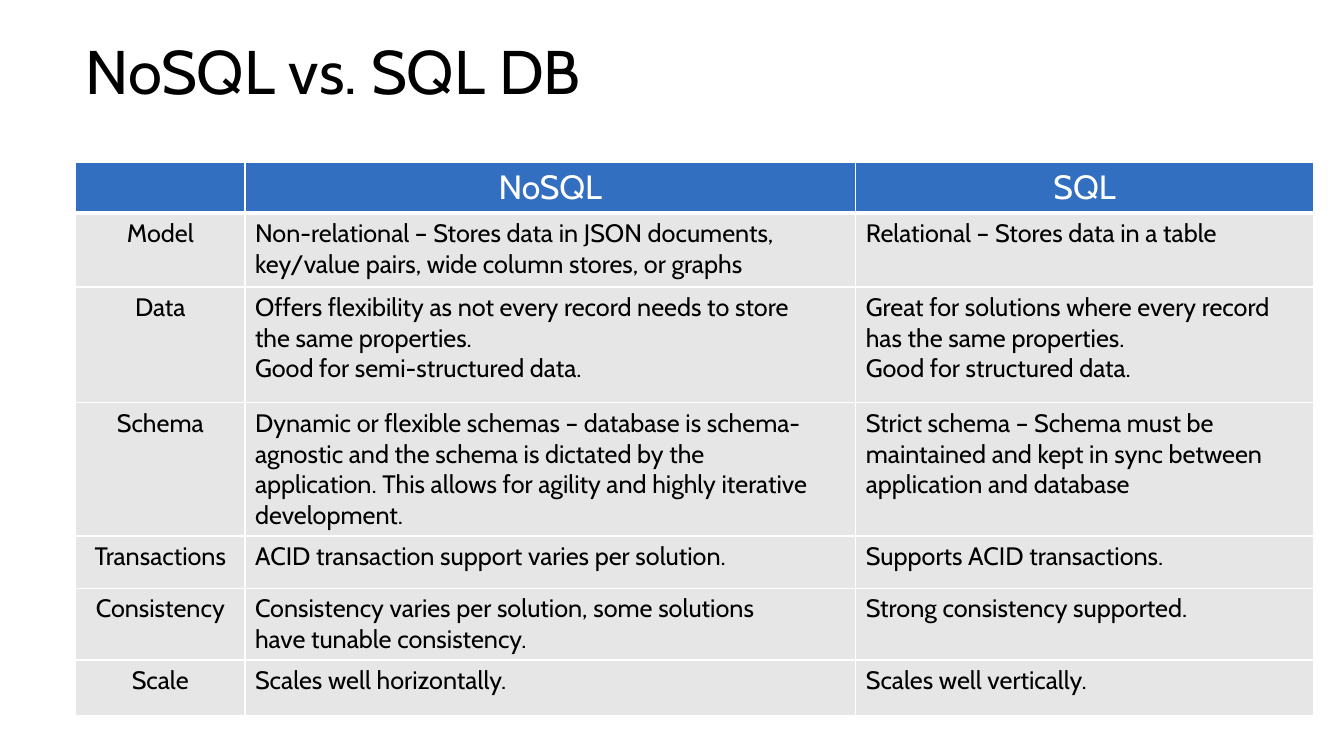
"""Build a slide that compares NoSQL and SQL databases in a table."""
from dataclasses import dataclass

from lxml import etree
from pptx import Presentation
from pptx import util as u
from pptx.dml.color import RGBColor
from pptx.enum import text
from pptx.oxml import ns


@dataclass(frozen=True)
class Theme:
    font: str = "Cabin"
    ink: str = "000000"
    white: str = "FFFFFF"
    header: str = "336FC0"
    body: str = "E7E6E6"
    title_size: int = 44
    header_size: int = 24
    body_size: int = 18


theme = Theme()


def write(frame, content, size, color=theme.ink, align=text.PP_ALIGN.LEFT, spacing=1.0):
    for number, line in enumerate(content.split("\n")):
        paragraph = frame.add_paragraph() if number else frame.paragraphs[0]
        paragraph.alignment = align
        paragraph.line_spacing = spacing
        run = paragraph.add_run()
        run.text = line
        run.font.name = theme.font
        run.font.size = u.Pt(size)
        run.font.color.rgb = RGBColor.from_string(color)


def add_border(cell, side, width):
    edge = etree.SubElement(cell._tc.get_or_add_tcPr(), ns.qn(f"a:ln{side}"), w=str(u.Pt(width)))
    fill = etree.SubElement(edge, ns.qn("a:solidFill"))
    etree.SubElement(fill, ns.qn("a:srgbClr"), val=theme.white)


comparison = [
    ("", "NoSQL", "SQL"),
    ("Model",
     "Non-relational – Stores data in JSON documents,\nkey/value pairs, wide column stores, or graphs",
     "Relational – Stores data in a table"),
    ("Data",
     "Offers flexibility as not every record needs to store\nthe same properties.\n"
     "Good for semi-structured data.",
     "Great for solutions where every record has the same properties.\nGood for structured data."),
    ("Schema",
     "Dynamic or flexible schemas – database is schema-agnostic and the schema is dictated by the\n"
     "application. This allows for agility and highly iterative development.",
     "Strict schema – Schema must be\nmaintained and kept in sync between\napplication and database"),
    ("Transactions",
     "ACID transaction support varies per solution.",
     "Supports ACID transactions."),
    ("Consistency",
     "Consistency varies per solution, some solutions\nhave tunable consistency.",
     "Strong consistency supported."),
    ("Scale", "Scales well horizontally.", "Scales well vertically."),
]
column_widths = [121, 436.3, 326.9]
row_heights = [35.3, 52.6, 82.8, 90.7, 37.4, 49, 39.6]

deck = Presentation()
deck.slide_width, deck.slide_height = u.Pt(960), u.Pt(540)
slide = deck.slides.add_slide(deck.slide_layouts[5])

title = slide.shapes.title
title.left, title.top, title.width, title.height = u.Pt(54), u.Pt(3.6), u.Pt(828), u.Pt(98.6)
title.text_frame.vertical_anchor = text.MSO_ANCHOR.MIDDLE
title.text_frame.auto_size = text.MSO_AUTO_SIZE.NONE
write(title.text_frame, "NoSQL vs. SQL DB", theme.title_size, spacing=0.9)

table = slide.shapes.add_table(
    len(row_heights), len(column_widths), u.Pt(54), u.Pt(116),
    u.Pt(sum(column_widths)), u.Pt(sum(row_heights))).table
for column, width in zip(table.columns, column_widths):
    column.width = u.Pt(width)

for row_index, (height, entries) in enumerate(zip(row_heights, comparison)):
    table.rows[row_index].height = u.Pt(height)
    is_header = row_index == 0
    for column_index, entry in enumerate(entries):
        cell = table.cell(row_index, column_index)
        for side in "LRTB":
            under_header = (row_index, side) in ((0, "B"), (1, "T"))
            add_border(cell, side, 3 if under_header else 1)
        cell.fill.solid()
        cell.fill.fore_color.rgb = RGBColor.from_string(theme.header if is_header else theme.body)
        if entry:
            centred = is_header or column_index == 0
            write(cell.text_frame, entry,
                  size=theme.header_size if is_header else theme.body_size,
                  color=theme.white if is_header else theme.ink,
                  align=text.PP_ALIGN.CENTER if centred else text.PP_ALIGN.LEFT)

deck.save("out.pptx")
